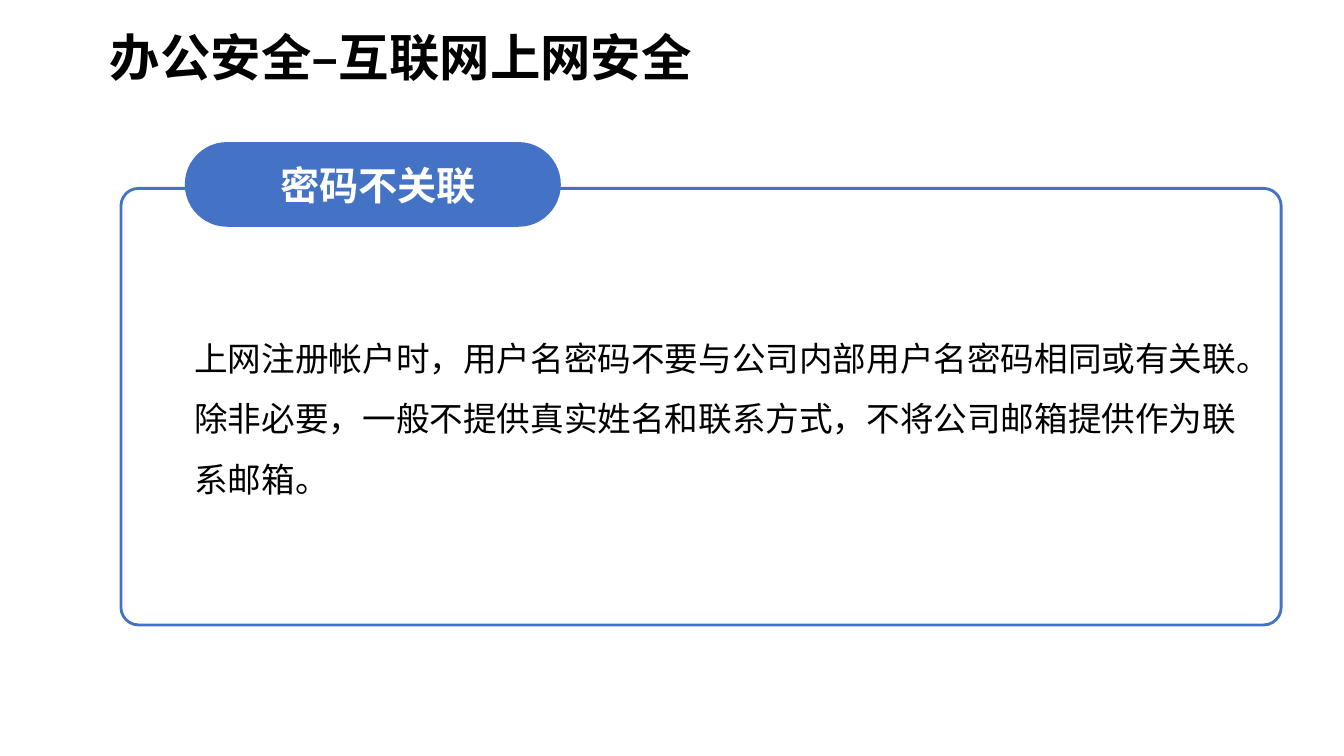
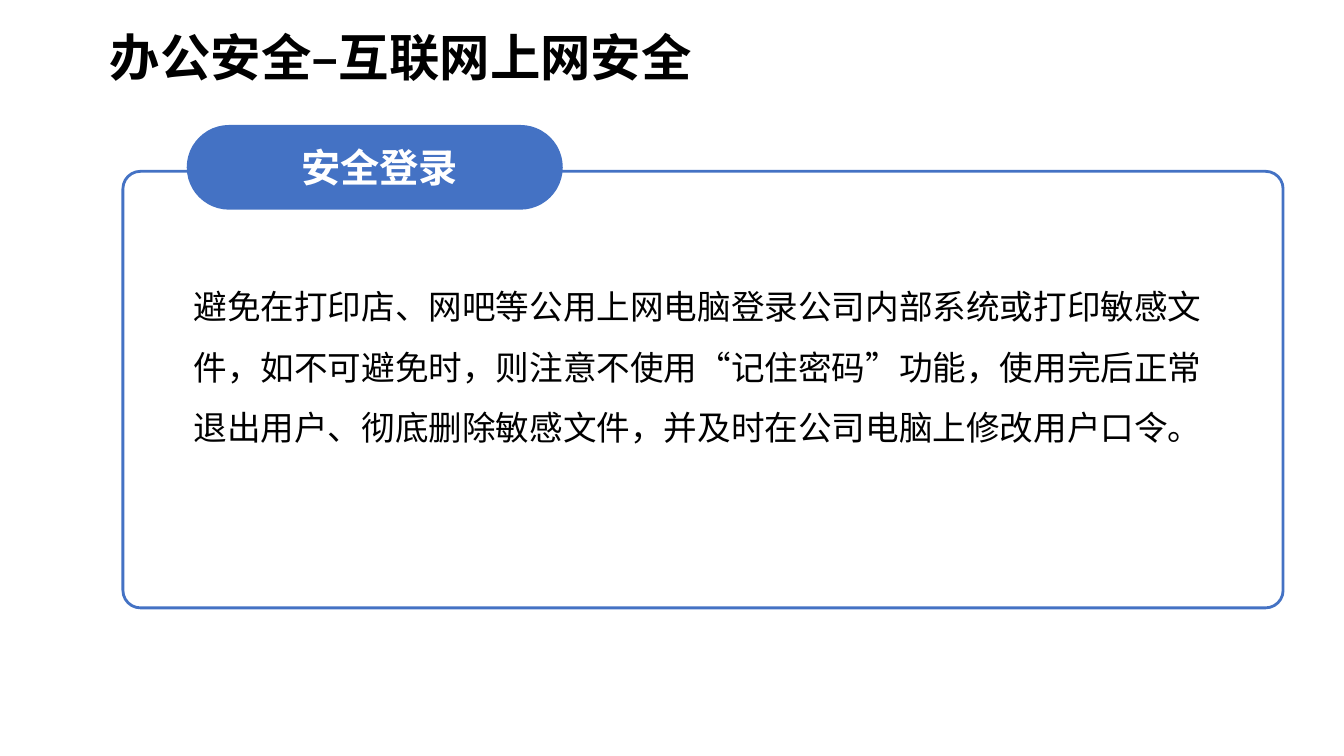
from dataclasses import dataclass

from lxml.etree import SubElement
from pptx import Presentation
from pptx.dml.color import RGBColor
from pptx.enum.shapes import MSO_SHAPE
from pptx.enum.text import MSO_ANCHOR, MSO_AUTO_SIZE, PP_ALIGN
from pptx.oxml.ns import qn
from pptx.util import Pt


@dataclass(frozen=True)
class Theme:
    """Colours, font and type sizes of the deck."""
    accent: RGBColor = RGBColor(0x44, 0x72, 0xC4)
    ink: RGBColor = RGBColor(0, 0, 0)
    paper: RGBColor = RGBColor(255, 255, 255)
    font: str = "Noto Sans CJK SC"
    title: int = 36
    label: int = 28
    body: int = 24


@dataclass(frozen=True)
class Topic:
    """Wording and placing of one slide's panel, in points."""
    label: str
    body: str
    panel_at: tuple
    body_at: tuple
    body_width: float


THEME = Theme()
TITLE = "办公安全–互联网上网安全"
TOPICS = [
    Topic("密码不关联",
          "上网注册帐户时，用户名密码不要与公司内部用户名密码相同或有关联。"
          "除非必要，一般不提供真实姓名和联系方式，不将公司邮箱提供作为联系邮箱。",
          (86.4, 134.6), (134.6, 224.6), 760.3),
    Topic("安全登录",
          "避免在打印店、网吧等公用上网电脑登录公司内部系统或打印敏感文件，"
          "如不可避免时，则注意不使用“记住密码”功能，使用完后正常退出用户、"
          "彻底删除敏感文件，并及时在公司电脑上修改用户口令。",
          (87.8, 122.4), (133.9, 187.9), 740.2),
]


def write(tf, text, size, color, bold=False, align=PP_ALIGN.LEFT, spacing=1.0):
    """Put one formatted paragraph in a text frame."""
    tf.word_wrap = True
    p = tf.paragraphs[0]
    p.text = text
    p.alignment = align
    p.line_spacing = spacing
    font = p.font
    font.name, font.size, font.bold = THEME.font, Pt(size), bold
    font.color.rgb = color
    props = p._p.pPr.find(qn("a:defRPr"))
    SubElement(props, qn("a:ea")).set("typeface", THEME.font)


def add_title(slide):
    """Place and fill the title placeholder."""
    sp = slide.shapes.title
    sp.left, sp.top, sp.width, sp.height = Pt(71.3), Pt(20.2), Pt(861.1), Pt(56.9)
    tf = sp.text_frame
    tf.auto_size = MSO_AUTO_SIZE.NONE
    tf.vertical_anchor = MSO_ANCHOR.TOP
    write(tf, TITLE, THEME.title, THEME.ink, bold=True, spacing=0.9)


def add_round_rect(slide, left, top, width, height, corner):
    """Add a rounded rectangle without shadow."""
    sp = slide.shapes.add_shape(MSO_SHAPE.ROUNDED_RECTANGLE,
                                Pt(left), Pt(top), Pt(width), Pt(height))
    sp.adjustments[0] = corner
    sp.shadow.inherit = False
    return sp


def add_panel(slide, left, top):
    """Add the outlined panel."""
    sp = add_round_rect(slide, left, top, 828.7, 311.8, 0.04)
    sp.fill.background()
    sp.line.color.rgb = THEME.accent
    sp.line.width = Pt(2)


def add_label(slide, text, panel_left, panel_top):
    """Add the pill label over the panel's top edge."""
    sp = add_round_rect(slide, panel_left + 45.6, panel_top - 33.1, 268.6, 60.5, 0.5)
    sp.fill.solid()
    sp.fill.fore_color.rgb = THEME.accent
    sp.line.fill.background()
    tf = sp.text_frame
    tf.vertical_anchor = MSO_ANCHOR.MIDDLE
    tf.margin_left, tf.margin_right = Pt(14.4), Pt(7.2)
    tf.margin_top = tf.margin_bottom = Pt(0)
    write(tf, text, THEME.label, THEME.paper, bold=True, align=PP_ALIGN.CENTER)


def add_body(slide, text, left, top, width):
    """Add the running text inside the panel."""
    sp = slide.shapes.add_textbox(Pt(left), Pt(top), Pt(width), Pt(131))
    tf = sp.text_frame
    tf.margin_left = tf.margin_right = Pt(4.3)
    tf.margin_top = tf.margin_bottom = Pt(2.2)
    write(tf, text, THEME.body, THEME.ink, spacing=1.5)


def add_topic(prs, topic):
    """Build one topic slide."""
    slide = prs.slides.add_slide(prs.slide_layouts.get_by_name("Title Only"))
    add_title(slide)
    add_panel(slide, *topic.panel_at)
    add_body(slide, topic.body, *topic.body_at, topic.body_width)
    add_label(slide, topic.label, *topic.panel_at)


def main():
    """Build and save the deck."""
    prs = Presentation()
    prs.slide_width, prs.slide_height = Pt(960), Pt(540)
    for topic in TOPICS:
        add_topic(prs, topic)
    prs.save("out.pptx")


if __name__ == "__main__":
    main()
